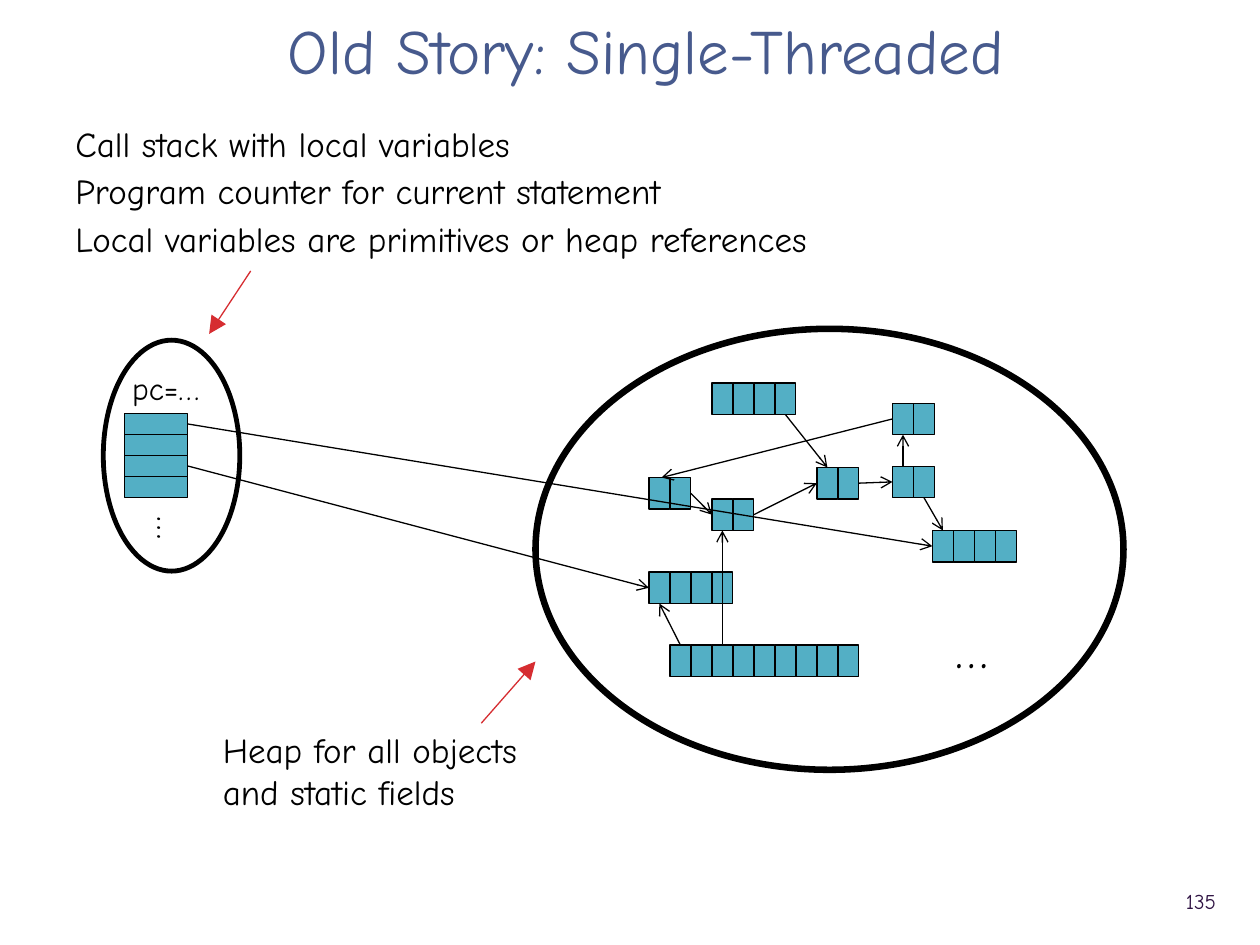
import pptx
import pptx.util
import pptx.dml.color
import pptx.enum.shapes
import pptx.enum.text
import pptx.oxml.ns
import lxml.etree

BLACK = pptx.dml.color.RGBColor(0x00, 0x00, 0x00)
TITLE_BLUE = pptx.dml.color.RGBColor(0x47, 0x5A, 0x8D)
CELL_TEAL = pptx.dml.color.RGBColor(0x53, 0xAF, 0xC5)
POINTER_RED = pptx.dml.color.RGBColor(0xD6, 0x2D, 0x31)
NUMBER_PURPLE = pptx.dml.color.RGBColor(0x2F, 0x13, 0x43)
FONT = "Comic Neue"

# Slide grid: 60 columns by 30 rows; one heap cell fills one grid cell
WIDTH, HEIGHT = 10, 7.5
COLUMN, ROW = WIDTH / 60, HEIGHT / 30

# Heap objects: column and row within the heap, number of cells
HEAP_OBJECTS = {
    "left pair": (5.4, 4.72, 2),
    "lower four": (5.4, 7.72, 4),
    "middle pair": (8.4, 5.4, 2),
    "centre pair": (13.4, 4.4, 2),
    "upper four": (8.4, 1.72, 4),
    "right four": (18.9, 6.4, 4),
    "long array": (6.4, 10.04, 9),
    "right pair": (17, 4.36, 2),
    "top pair": (17, 2.36, 2),
}

# References: object, cells across, share of height, for each end
HEAP_REFERENCES = [
    (("upper four", 3.5, 1), ("centre pair", 0.5, 0)),
    (("left pair", 2, 0.5), ("middle pair", 0, 0.5)),
    (("middle pair", 2, 0.5), ("centre pair", 0, 0.5)),
    (("long array", 0.5, 0), ("lower four", 0.5, 1)),
    (("long array", 2.5, 0), ("middle pair", 0.5, 1)),
    (("centre pair", 2, 0.5), ("right pair", 0, 0.5)),
    (("right pair", 0.5, 0), ("top pair", 0.5, 1)),
    (("top pair", 0, 0.5), ("left pair", 0.6, 0)),
    (("right pair", 1.5, 1), ("right four", 0.5, 0)),
]


def inches(*lengths):
    return [pptx.util.Inches(length) for length in lengths]


def add_text(slide, text, box, *, size, color=BLACK, align="LEFT",
             anchor="TOP", wrap=False, space_before=0, rotation=0):
    shape = slide.shapes.add_textbox(*inches(*box))
    shape.rotation = rotation
    frame = shape.text_frame
    frame.word_wrap = wrap
    if not wrap:
        frame.auto_size = pptx.enum.text.MSO_AUTO_SIZE.SHAPE_TO_FIT_TEXT
    frame.vertical_anchor = pptx.enum.text.MSO_ANCHOR[anchor]
    frame.text = text
    for index, paragraph in enumerate(frame.paragraphs):
        paragraph.alignment = pptx.enum.text.PP_ALIGN[align]
        if index:
            paragraph.space_before = pptx.util.Pt(space_before)
        for run in paragraph.runs:
            run.font.name = FONT
            run.font.size = pptx.util.Pt(size)
            run.font.color.rgb = color


def add_outlined(slide, kind, box, line_width, fill=None):
    shape = slide.shapes.add_shape(
        pptx.enum.shapes.MSO_SHAPE[kind], *inches(*box))
    shape.shadow.inherit = False
    if fill is None:
        shape.fill.background()
    else:
        shape.fill.solid()
        shape.fill.fore_color.rgb = fill
    shape.line.color.rgb = BLACK
    shape.line.width = pptx.util.Pt(line_width)


def add_arrow(slide, start, end, color=BLACK, head="arrow", head_size="med"):
    connector = slide.shapes.add_connector(
        pptx.enum.shapes.MSO_CONNECTOR.STRAIGHT, *inches(*start, *end))
    connector.line.color.rgb = color
    connector.line.width = pptx.util.Pt(0.75)
    qualified = pptx.oxml.ns.qn
    lxml.etree.SubElement(connector.line._get_or_add_ln(), qualified("a:tailEnd"),
                          type=head, w=head_size, len=head_size)
    lxml.etree.SubElement(connector._element.spPr, qualified("a:effectLst"))


def draw_heap(slide, box):
    """Draw the heap and return a function that finds points on its objects."""
    left, top, width, height = box

    def point(name, cells, share):
        column, row, _ = HEAP_OBJECTS[name]
        return left + (column + cells) * COLUMN, top + (row + share) * ROW

    add_outlined(slide, "OVAL", box, 3.75)
    for name, (_, _, count) in HEAP_OBJECTS.items():
        for index in range(count):
            cell = (*point(name, index, 0), COLUMN, ROW)
            add_outlined(slide, "RECTANGLE", cell, 0.75, CELL_TEAL)
    for start, end in HEAP_REFERENCES:
        add_arrow(slide, point(*start), point(*end))
    add_text(slide, "…", (left + 0.694 * width, top + 0.646 * height,
                          0.47, 0.57), size=28)
    return point


def draw_stack(slide, box):
    """Draw the call stack and return the right-hand middle of each slot."""
    left, top, width, height = box
    slot_left, slot_top = left + COLUMN, top + 0.317 * height
    slot_width, slot_height = 3 * COLUMN, ROW * 2 / 3
    add_outlined(slide, "OVAL", box, 2.75)
    add_text(slide, "pc=…", (left + 0.12 * width, top + 0.1 * height,
                             0.76, 0.4), size=18)
    tops = [slot_top + index * slot_height for index in range(4)]
    for y in tops:
        add_outlined(slide, "RECTANGLE",
                     (slot_left, y, slot_width, slot_height), 0.75, CELL_TEAL)
    add_text(slide, "…", (left + 0.315 * width, top + 0.694 * height,
                          0.39, 0.44), size=20, rotation=90)
    return [(slot_left + slot_width, y + slot_height / 2) for y in tops]


def draw_captions(slide, box):
    """Write the title, both explanations and the slide number."""
    left, top, width, height = box

    def place(x, y, share_wide, share_high):
        return (left + x * width, top + y * height,
                share_wide * width, share_high * height)

    add_text(slide, "Old Story: Single-Threaded",
             place(0.05, 0.017, 0.925, 0.071), size=36, color=TITLE_BLUE,
             align="CENTER", anchor="MIDDLE", wrap=True)
    add_text(slide, "Call stack with local variables\n"
                    "Program counter for current statement\n"
                    "Local variables are primitives or heap references",
             place(0.05, 0.123, 0.663, 0.159), size=20, space_before=3)
    add_text(slide, "Heap for all objects\vand static fields",
             place(0.167, 0.764, 0.303, 0.103), size=20)
    add_text(slide, "135", place(0.889, 0.927, 0.086, 0.053), size=12,
             color=NUMBER_PURPLE, align="RIGHT", anchor="MIDDLE", wrap=True)


def main():
    presentation = pptx.Presentation()
    presentation.slide_width, presentation.slide_height = inches(WIDTH, HEIGHT)
    slide = presentation.slides.add_slide(presentation.slide_layouts[6])

    draw_captions(slide, (0, 0, WIDTH, HEIGHT))
    heap_point = draw_heap(slide, (4.25, 2.61, 28 * COLUMN, 14 * ROW))
    slots = draw_stack(slide, (0.82, 2.7, 6.5 * COLUMN, 7.33 * ROW))

    # References from local variables into the heap
    add_arrow(slide, slots[0], heap_point("right four", 0, 0.5))
    add_arrow(slide, slots[2], heap_point("lower four", 0, 0.5))

    # Pointers from the explanations
    for start, end in [((3.82, 5.74), (4.25, 5.25)), ((1.99, 2.15), (1.66, 2.65))]:
        add_arrow(slide, start, end, POINTER_RED, "triangle", "lg")

    presentation.save("out.pptx")


if __name__ == "__main__":
    main()
